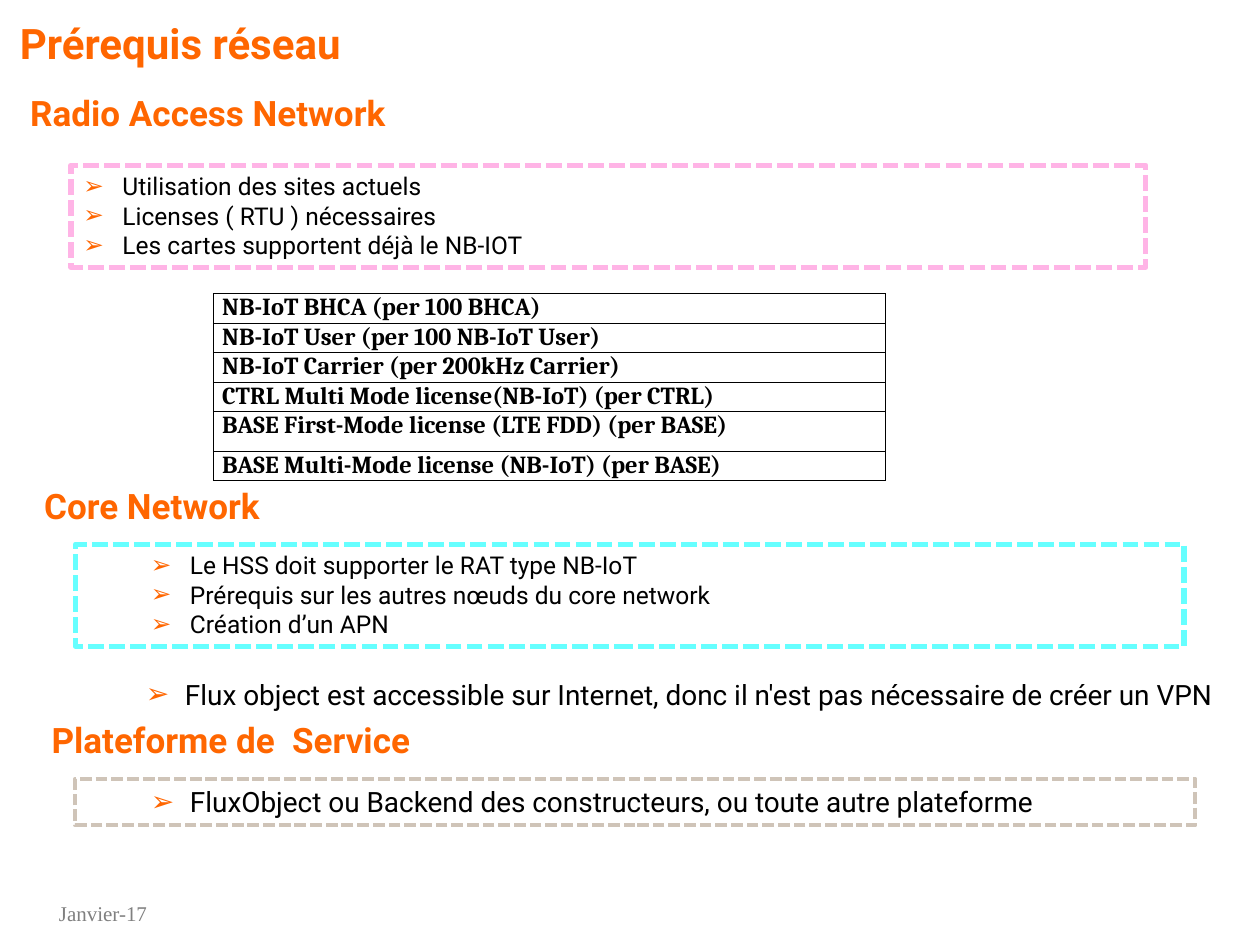
from lxml import etree
from pptx import Presentation
from pptx import util as u
from pptx.dml.color import RGBColor
from pptx.enum import dml, shapes, text
from pptx.oxml.ns import qn

COLOURS = {
    "orange": "FF6600", "black": "000000", "white": "FFFFFF", "grey": "808080",
    "pink": "FFB4E6", "cyan": "66FFFF", "beige": "CFC4B8",
}
HANGING = 0.79  # cm between a bullet and its text


def colour(name):
    return RGBColor.from_string(COLOURS[name])


def place(box):
    return [u.Cm(length) for length in box]


def add_span(para, words, size, font, ink, bold=False):
    span = para.add_run()
    span.text = words
    span.font.size = u.Pt(size)
    span.font.name = font
    span.font.bold = bold
    span.font.color.rgb = colour(ink)


def add_label(page, box, words, size, font="Roboto", ink="orange", bold=True):
    frame = page.shapes.add_textbox(*place(box)).text_frame
    frame.word_wrap = True
    add_span(frame.paragraphs[0], words, size, font, ink, bold)


def add_bullet(para, level):
    """Give the paragraph an orange arrow bullet with a hanging indent."""
    para.level = level
    props = para._p.get_or_add_pPr()
    props.set("marL", str(u.Cm(HANGING + 1.27 * level)))
    props.set("indent", str(-u.Cm(HANGING)))
    tint = etree.SubElement(props, qn("a:buClr"))
    etree.SubElement(tint, qn("a:srgbClr"), val=COLOURS["orange"])
    etree.SubElement(props, qn("a:buFont"), typeface="Roboto")
    etree.SubElement(props, qn("a:buChar"), char="➢")


def fill_list(frame, items, size, level):
    frame.word_wrap = True
    frame.vertical_anchor = text.MSO_ANCHOR.TOP
    for index, item in enumerate(items):
        para = frame.add_paragraph() if index else frame.paragraphs[0]
        para.alignment = text.PP_ALIGN.LEFT
        add_bullet(para, level)
        add_span(para, item, size, "Roboto", "black")


def add_dashed_list(page, box, items, line, size=14, level=1, weight=3):
    panel = page.shapes.add_shape(shapes.MSO_SHAPE.RECTANGLE, *place(box))
    panel.shadow.inherit = False
    panel.fill.background()
    panel.line.color.rgb = colour(line)
    panel.line.width = u.Pt(weight)
    panel.line.dash_style = dml.MSO_LINE.SQUARE_DOT
    fill_list(panel.text_frame, items, size, level)


def add_plain_list(page, box, items, size):
    frame = page.shapes.add_textbox(*place(box)).text_frame
    fill_list(frame, items, size, level=1)


def add_borders(cell):
    props = cell._tc.get_or_add_tcPr()
    for index, side in enumerate(("a:lnL", "a:lnR", "a:lnT", "a:lnB")):
        line = etree.Element(qn(side), w=str(u.Pt(0.5)))
        solid = etree.SubElement(line, qn("a:solidFill"))
        etree.SubElement(solid, qn("a:srgbClr"), val=COLOURS["black"])
        props.insert(index, line)


def add_licence_table(page, box, licences):
    """Stack one row for each (name, height) pair."""
    table = page.shapes.add_table(len(licences), 1, *place(box)).table
    table.first_row = table.horz_banding = False
    for index, (name, height) in enumerate(licences):
        table.rows[index].height = u.Cm(height)
        cell = table.cell(index, 0)
        cell.margin_left = cell.margin_right = u.Cm(0.18)
        cell.margin_top = cell.margin_bottom = 0
        cell.fill.solid()
        cell.fill.fore_color.rgb = colour("white")
        add_borders(cell)
        add_span(cell.text_frame.paragraphs[0], name, 14, "Cambria", "black", True)


def add_radio_section(page, left, top):
    add_label(page, (left, top, 10.16, 1.12), "Radio Access Network", 20)
    add_dashed_list(page, (left + 1.07, top + 1.6, 21.67, 2.06), [
        "Utilisation des sites actuels",
        "Licenses ( RTU ) nécessaires",
        "Les cartes supportent déjà le NB-IOT",
    ], "pink", level=0)
    add_licence_table(page, (left + 3.94, top + 4.19, 13.54, 3.76), [
        ("NB-IoT BHCA (per 100 BHCA)", 0.53),
        ("NB-IoT User (per 100 NB-IoT User)", 0.53),
        ("NB-IoT Carrier (per 200kHz Carrier)", 0.53),
        ("CTRL Multi Mode license(NB-IoT) (per CTRL)", 0.53),
        ("BASE First-Mode license (LTE FDD) (per BASE)", 0.8),
        ("BASE Multi-Mode license (NB-IoT) (per BASE)", 0.23),
    ])


def add_core_section(page, left, top):
    add_label(page, (left, top, 8.89, 1.12), "Core Network", 20)
    add_dashed_list(page, (left + 0.88, top + 1.32, 22.35, 2.06), [
        "Le HSS doit supporter le RAT type NB-IoT",
        "Prérequis sur les autres nœuds du core network",
        "Création d’un APN",
    ], "cyan")
    add_plain_list(page, (left + 0.78, top + 3.89, 23.47, 0.94), [
        "Flux object est accessible sur Internet, "
        "donc il n'est pas nécessaire de créer un VPN",
    ], 16)


def add_service_section(page, left, top):
    add_label(page, (left, top, 9.32, 1.12), "Plateforme de  Service", 20)
    add_dashed_list(page, (left + 0.73, top + 1.35, 22.58, 0.94), [
        "FluxObject ou Backend des constructeurs, ou toute autre plateforme",
    ], "beige", size=16, weight=2.25)


def main():
    deck = Presentation()
    deck.slide_width, deck.slide_height = u.Cm(25.4), u.Cm(19.05)
    page = deck.slides.add_slide(deck.slide_layouts[6])
    add_label(page, (0.15, 0.23, 12.24, 1.27), "Prérequis réseau", 24)
    add_radio_section(page, 0.36, 1.73)
    add_core_section(page, 0.64, 9.65)
    add_service_section(page, 0.79, 14.35)
    add_label(page, (0.94, 18.03, 5.69, 0.76), "Janvier-17", 12,
              "Times New Roman", "grey", bold=False)
    deck.save("out.pptx")


if __name__ == "__main__":
    main()
